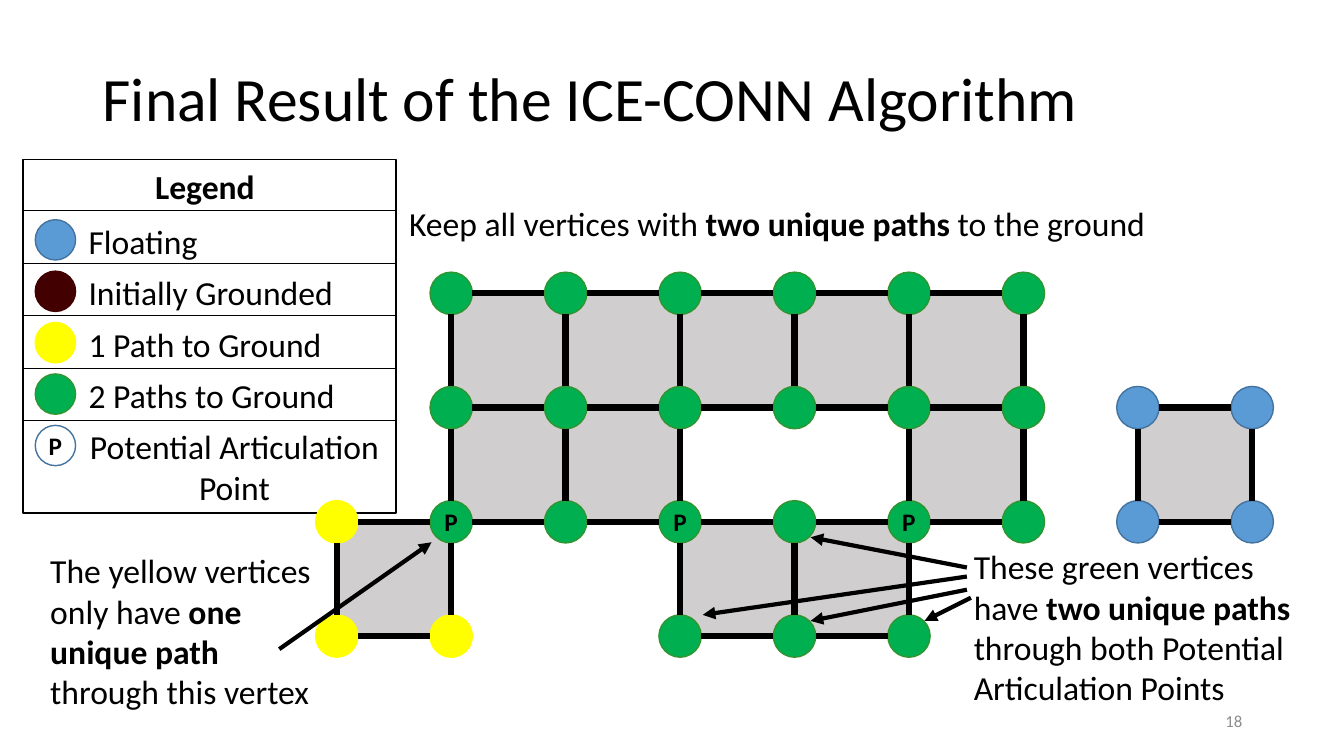
from dataclasses import dataclass

from lxml.etree import SubElement as add_node
from pptx import Presentation
from pptx.dml.color import RGBColor as Color
from pptx.enum.shapes import MSO_CONNECTOR as Link, MSO_SHAPE as Form
from pptx.enum.text import MSO_ANCHOR as Anchor, PP_ALIGN as Align
from pptx.oxml.ns import qn
from pptx.util import Inches, Pt


@dataclass(frozen=True)
class Theme:
    font: str = "Calibri"
    ink: str = "000000"
    muted: str = "8C8C8C"
    cell: str = "D0CECE"
    # Vertex styles: fill, outline
    blue: tuple = ("5B9BD5", "43739E")
    brown: tuple = ("420000", "420000")
    yellow: tuple = ("FFFF00", "FFFF00")
    green: tuple = ("00B050", "319431")
    white: tuple = ("FFFFFF", "43739E")
    # Type sizes
    title: int = 44
    body: int = 24
    mark: int = 18
    small: int = 12
    # Line widths
    rule: float = 0.5
    edge: float = 4.5
    arrow: float = 3


THEME = Theme()


def rgb(code):
    return Color.from_string(code)


def fill_text(frame, runs, size, color=THEME.ink, align=Align.LEFT):
    """Write (text, bold) runs into the first paragraph of a frame."""
    line = frame.paragraphs[0]
    line.alignment = align
    for words, bold in runs:
        run = line.add_run()
        run.text = words
        run.font.name = THEME.font
        run.font.size = Pt(size)
        run.font.bold = bold
        run.font.color.rgb = rgb(color)
    return line


def add_text(slide, box, runs, size=THEME.body, wrap=True,
             anchor=Anchor.TOP, **style):
    frame = slide.shapes.add_textbox(*map(Inches, box)).text_frame
    frame.word_wrap = wrap
    frame.vertical_anchor = anchor
    return fill_text(frame, runs, size, **style)


def add_form(slide, form, box, fill, line):
    shape = slide.shapes.add_shape(form, *map(Inches, box))
    shape.shadow.inherit = False
    if fill:
        shape.fill.solid()
        shape.fill.fore_color.rgb = rgb(fill)
    else:
        shape.fill.background()
    shape.line.color.rgb = rgb(line)
    shape.line.width = Pt(1)
    return shape


def add_dot(slide, left, top, size, style, mark=None):
    dot = add_form(slide, Form.OVAL, (left, top, size, size), *style)
    if mark:
        frame = dot.text_frame
        frame.word_wrap = False
        frame.vertical_anchor = Anchor.MIDDLE
        frame.margin_left = frame.margin_right = 0
        frame.margin_top = frame.margin_bottom = 0
        fill_text(frame, [(mark, True)], THEME.mark, align=Align.CENTER)


def add_line(slide, start, end, width, head=False):
    line = slide.shapes.add_connector(
        Link.STRAIGHT, *map(Inches, (*start, *end)))
    line.line.color.rgb = rgb(THEME.ink)
    line.line.width = Pt(width)
    props = line._element.spPr
    if head:
        add_node(props.find(qn("a:ln")), qn("a:tailEnd"), type="triangle")
    add_node(props, qn("a:effectLst"))


def add_legend(slide, box):
    left, top, width, height = box
    items = [
        ("Floating", 1.29, THEME.blue, None),
        ("Initially Grounded", 2.65, THEME.brown, None),
        ("1 Path to Ground", 2.53, THEME.yellow, None),
        ("2 Paths to Ground", 2.66, THEME.green, None),
        ("Potential Articulation Point", 3.09, THEME.white, "P"),
    ]
    # Frame and heading
    add_form(slide, Form.RECTANGLE, box, None, THEME.ink)
    add_text(slide, (left + 1.21, top + 0.02, 1.2, 0.5),
             [("Legend", True)], wrap=False)
    # One row for each kind of vertex
    for row, (label, wide, style, mark) in enumerate(items):
        rule = top + 0.51 + 0.52 * row
        add_line(slide, (left, rule), (left + width, rule), THEME.rule)
        y = top + 0.56 + 0.51 * row
        add_dot(slide, left + 0.12, y + 0.04, 0.4, style, mark)
        last = row == len(items) - 1
        add_text(slide, (left + 0.55, y, wide, 0.91 if last else 0.5),
                 [(label, False)], wrap=last,
                 align=Align.CENTER if last else Align.LEFT)


def add_mesh(slide, box):
    left, top, width, height = box
    pitch_x, pitch_y = width / 8, height / 3
    size = 0.42
    # Filled blocks: first column, row, number of cells
    blocks = [(1, 0, 5), (1, 1, 2), (5, 1, 1),
              (3, 2, 2), (7, 1, 1), (0, 2, 1)]
    yellow = {(0, 2), (0, 3), (1, 3)}
    marked = {(1, 2), (3, 2), (5, 2)}

    def place(node):
        return left + node[0] * pitch_x, top + node[1] * pitch_y

    # Blocks; the sides of their cells are the edges of the mesh
    edges = set()
    for col, row, count in blocks:
        add_form(slide, Form.RECTANGLE,
                 (*place((col, row)), count * pitch_x, pitch_y),
                 THEME.cell, THEME.cell)
        for c in range(col, col + count):
            edges |= {((c, r), (c + 1, r)) for r in (row, row + 1)}
            edges |= {((x, row), (x, row + 1)) for x in (c, c + 1)}

    # Vertices
    for node in sorted({end for edge in edges for end in edge}):
        x, y = place(node)
        style = (THEME.blue if node[0] >= 7 else
                 THEME.yellow if node in yellow else THEME.green)
        add_dot(slide, x - size / 2, y - size / 2, size, style,
                "P" if node in marked else None)

    # Edges run from rim to rim
    for start, end in sorted(edges):
        (x1, y1), (x2, y2) = place(start), place(end)
        dx, dy = (size / 2, 0) if y1 == y2 else (0, size / 2)
        add_line(slide, (x1 + dx, y1 + dy), (x2 - dx, y2 - dy), THEME.edge)


def add_note(slide, box, runs, arrows):
    """Place a note whose arrows are offsets from its top left corner."""
    left, top = box[:2]
    add_text(slide, box, runs)
    for x1, y1, x2, y2 in arrows:
        add_line(slide, (left + x1, top + y1), (left + x2, top + y2),
                 THEME.arrow, head=True)


def build_slide(deck):
    slide = deck.slides.add_slide(deck.slide_layouts[6])
    add_legend(slide, (0.23, 1.58, 3.7, 3.51))
    # Title and lead
    title = add_text(slide, (0.92, 0.28, 11.5, 1.45),
                     [("Final Result of the ICE-CONN Algorithm", False)],
                     THEME.title, anchor=Anchor.MIDDLE)
    title.line_spacing = 0.9
    add_mesh(slide, (3.34, 2.91, 9.08, 3.4))
    add_text(slide, (3.96, 1.96, 7.57, 0.5),
             [("Keep all vertices with ", False), ("two unique paths ", True),
              ("to the ground", False)], wrap=False)
    # Notes with arrows
    add_note(slide, (0.4, 5.41, 2.86, 1.72),
             [("The yellow vertices only have ", False),
              ("one unique path ", True), ("through this vertex", False)],
             [(2.37, 1.03, 3.88, -0.03)])
    add_note(slide, (9.56, 5.37, 3.63, 1.72),
             [("These green vertices have ", False),
              ("two unique paths ", True),
              ("through both Potential Articulation Points", False)],
             [(0.03, 0.35, -2.59, 0.73), (0.07, 0.56, -0.39, 0.79),
              (0.03, 0.48, -1.52, 0.79), (0.03, 0.26, -1.52, -0.04)])
    # Page number
    add_text(slide, (9.42, 6.95, 3, 0.4), [("18", False)], THEME.small,
             anchor=Anchor.MIDDLE, color=THEME.muted, align=Align.RIGHT)


def main():
    deck = Presentation()
    deck.slide_width, deck.slide_height = Inches(13.33), Inches(7.5)
    build_slide(deck)
    deck.save("out.pptx")


if __name__ == "__main__":
    main()
